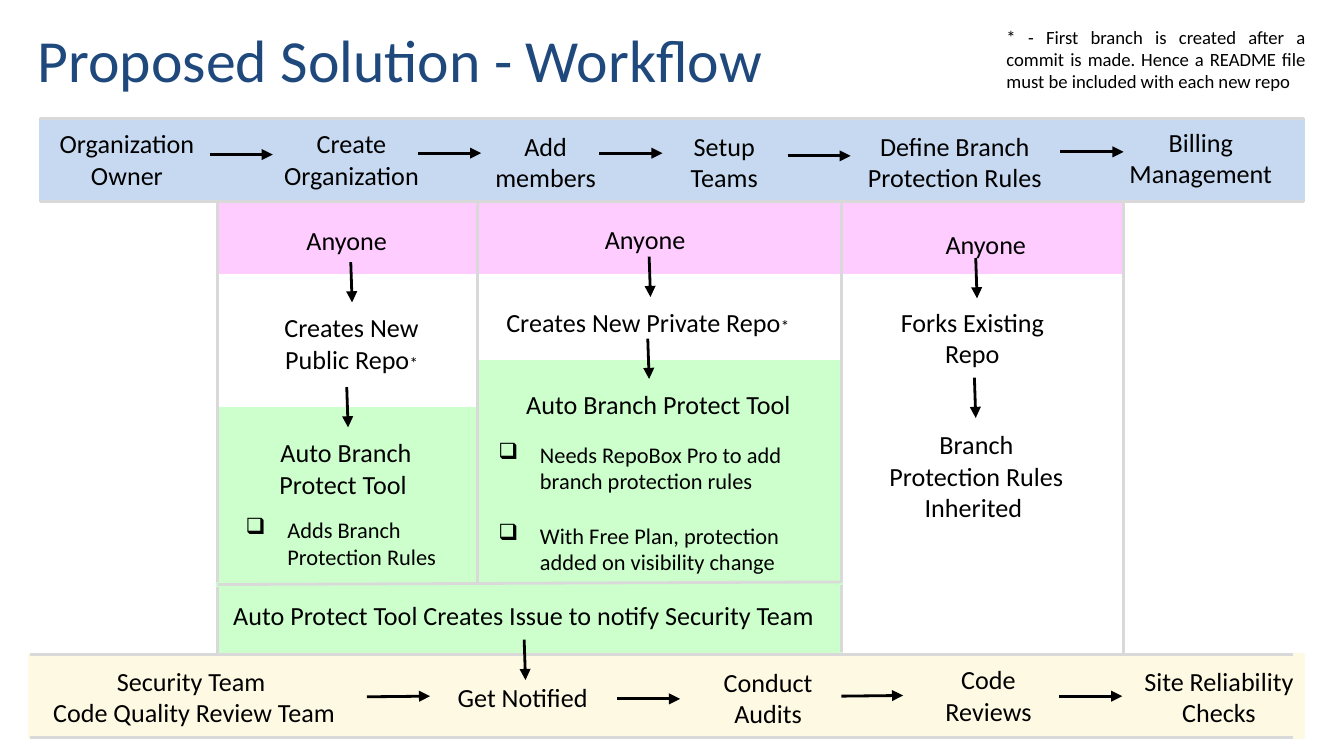
import lxml.etree
import pptx
import pptx.dml.color
import pptx.enum.shapes
import pptx.enum.text
import pptx.oxml.ns
import pptx.util

Inches = pptx.util.Inches
Pt = pptx.util.Pt
RGBColor = pptx.dml.color.RGBColor
ALIGN = pptx.enum.text.PP_ALIGN

NAVY = RGBColor(0x1F, 0x49, 0x7D)
BLACK = RGBColor(0x00, 0x00, 0x00)
GREY = RGBColor(0xD9, 0xD9, 0xD9)
PINK = RGBColor(0xFF, 0xCC, 0xFF)
GREEN = RGBColor(0xCC, 0xFF, 0xCC)
CREAM = RGBColor(0xFE, 0xF9, 0xE2)
BLUE = RGBColor(0xC6, 0xD9, 0xF1)
FONT = "Calibri"
JOIN_DISTANCE = 0.01


def add_element(parent, tag, **attributes):
    """Append a DrawingML element to a parent."""
    return lxml.etree.SubElement(parent, pptx.oxml.ns.qn(tag), attributes)


def add_panel(page, left, top, width, height, color):
    """Add a plain coloured rectangle."""
    panel = page.shapes.add_shape(
        pptx.enum.shapes.MSO_SHAPE.RECTANGLE,
        Inches(left), Inches(top), Inches(width), Inches(height))
    panel.shadow.inherit = False
    panel.fill.solid()
    panel.fill.fore_color.rgb = color
    panel.line.color.rgb = color
    panel.line.width = Pt(1.5)


def add_rule(page, start, end, color=GREY):
    """Add a straight line between two points."""
    rule = page.shapes.add_connector(
        pptx.enum.shapes.MSO_CONNECTOR.STRAIGHT,
        *[Inches(value) for value in (*start, *end)])
    rule.line.color.rgb = color
    rule.line.width = Pt(1.5)
    add_element(rule._element.spPr, "a:effectLst")
    return rule


def join_end(connect, point, labels):
    """Join a connector end to a label whose side midpoint it meets."""
    for label in labels:
        middle_x = label.left + label.width / 2
        middle_y = label.top + label.height / 2
        sides = ((middle_x, label.top), (label.left, middle_y),
                 (middle_x, label.top + label.height),
                 (label.left + label.width, middle_y))
        for side, spot in enumerate(sides):
            if all(abs(Inches(a) - b) <= Inches(JOIN_DISTANCE) for a, b in zip(point, spot)):
                connect(label, side)
                return


def add_arrow(page, start, end, labels):
    """Add a black arrow, joined to the labels it touches."""
    arrow = add_rule(page, start, end, BLACK)
    add_element(arrow.line._get_or_add_ln(), "a:tailEnd", type="triangle")
    join_end(arrow.begin_connect, start, labels)
    join_end(arrow.end_connect, end, labels)


def style_run(para, text, size, color=BLACK):
    """Add one formatted run to a paragraph."""
    span = para.add_run()
    span.text = text
    span.font.name = FONT
    span.font.size = Pt(size)
    span.font.color.rgb = color


def add_label(page, left, top, width, height, paragraphs, size=14,
              align=ALIGN.CENTER, bullet=False):
    """Add a text box; a trailing asterisk becomes a small mark."""
    label = page.shapes.add_textbox(Inches(left), Inches(top), Inches(width), Inches(height))
    frame = label.text_frame
    frame.word_wrap = True
    frame.auto_size = pptx.enum.text.MSO_AUTO_SIZE.SHAPE_TO_FIT_TEXT
    for index, text in enumerate(paragraphs):
        para = frame.add_paragraph() if index else frame.paragraphs[0]
        para.alignment = align
        if bullet:
            para.space_before = Pt(14.6 if index else 0)
            properties = para._p.get_or_add_pPr()
            properties.set("marL", str(Inches(0.31)))
            properties.set("indent", str(-Inches(0.31)))
            add_element(properties, "a:buChar", char="❑")
        style_run(para, text.removesuffix("*"), size)
        if text.endswith("*"):
            style_run(para, "*", 9)
    return label


def draw_heading(page, left, top, width, height):
    """Place the title and the note on its right."""
    title = page.shapes.title
    title.left, title.top = Inches(left), Inches(top)
    title.width, title.height = Inches(width), Inches(height)
    title.text_frame.vertical_anchor = pptx.enum.text.MSO_ANCHOR.MIDDLE
    para = title.text_frame.paragraphs[0]
    para.alignment = ALIGN.LEFT
    style_run(para, "Proposed Solution - Workflow", 32, NAVY)
    add_label(page, left + 7.21, top + 0.14, 2.42, 0.61,
              ["* - First branch is created after a commit is made. "
               "Hence a README file must be included with each new repo"],
              size=10, align=ALIGN.JUSTIFY)


def draw_band(page, left, top, width, height, color, rule_width, steps, arrows):
    """Draw a ruled band of steps linked by horizontal arrows."""
    add_panel(page, left, top, width, height, color)
    for y in (top, top + height):
        add_rule(page, (left, y), (left + rule_width, y))
    labels = [add_label(page, left + x, top + y, w, h, paragraphs)
              for x, y, w, h, paragraphs in steps]
    for x, y in arrows:
        add_arrow(page, (left + x, top + y), (left + x + 0.47, top + y), labels)


def draw_column(page, left, top, width, height, tool_top, edges, steps, arrows, bullets):
    """Draw one workflow column with its steps, down arrows and bullets."""
    add_panel(page, left, top, width, 0.52, PINK)
    if tool_top:
        add_panel(page, left, top + tool_top, width, height - tool_top, GREEN)
    for x, length in edges:
        add_rule(page, (left + x, top), (left + x, top + length))
    labels = [add_label(page, left + x, top + y, w, h, [text])
              for x, y, w, h, text in steps]
    for x, y in arrows:
        add_arrow(page, (left + x, top + y), (left + x + 0.01, top + y + 0.3), labels)
    for x, y, w, h, texts in bullets:
        add_label(page, left + x, top + y, w, h, texts, 12, ALIGN.LEFT, True)


def draw_notice(page, left, top, width, height):
    """Draw the panel that tells the security team of an issue."""
    add_panel(page, left, top, width, height, GREEN)
    add_rule(page, (left, top + 0.01), (left + width, top - 0.01))
    for x, y in ((left, top + 0.03), (left + width, top + 0.01)):
        add_rule(page, (x, y), (x, y + 0.5))
    add_label(page, left - 0.03, top + 0.07, 4.66, 0.34,
              ["Auto Protect Tool Creates Issue to notify Security Team "])


def main():
    """Build the workflow slide."""
    deck = pptx.Presentation()
    deck.slide_width = Inches(10)
    deck.slide_height = deck.slide_width * 9 // 16
    page = deck.slides.add_slide(deck.slide_layouts[5])
    draw_heading(page, 0.18, 0, 9.32, 0.87)
    draw_column(page, 1.62, 1.51, 1.93, 2.83, 1.53, [(0, 2.83)], [
        (0.35, 0.11, 1.22, 0.34, "Anyone"),
        (0.35, 0.76, 1.29, 0.57, "Creates New Public Repo*"),
        (0.13, 1.69, 1.65, 0.57, "Auto Branch Protect Tool "),
    ], [(0.99, 0.44), (0.96, 1.37)],
        [(0.11, 2.28, 1.65, 0.5, ["Adds Branch Protection Rules"])])
    draw_column(page, 3.55, 1.51, 2.7, 2.83, 1.18, [(0, 2.83)], [
        (0.59, 0.1, 1.32, 0.34, "Anyone"),
        (0.07, 0.72, 2.4, 0.34, "Creates New Private Repo*"),
        (0.26, 1.33, 2.18, 0.34, "Auto Branch Protect Tool "),
    ], [(1.28, 0.4), (1.27, 1.01)],
        [(0.06, 1.72, 2.63, 1.11, [
            "Needs RepoBox Pro to add branch protection rules",
            "With Free Plan, protection added on visibility change"])])
    draw_column(page, 6.26, 1.51, 2.1, 2.83, None, [(0, 2.83), (2.1, 3.37)], [
        (0.3, 0.14, 1.55, 0.34, "Anyone"),
        (0.28, 0.72, 1.39, 0.57, "Forks Existing Repo"),
        (0.23, 1.63, 1.55, 0.81, "Branch Protection Rules Inherited "),
    ], [(1, 0.41), (0.99, 1.3)], [])
    draw_notice(page, 1.62, 4.34, 4.64, 0.52)
    draw_band(page, 0.3, 0.88, 9.4, 0.62, BLUE, 9.4, [
        (-0.12, 0.02, 1.53, 0.57, ["Organization Owner"]),
        (1.47, 0.02, 1.69, 0.57, ["Create Organization"]),
        (3.16, 0.04, 1.2, 0.57, ["Add members"]),
        (4.51, 0.04, 1.16, 0.57, ["Setup Teams"]),
        (5.99, 0.04, 1.63, 0.57, ["Define Branch Protection Rules"]),
        (7.82, 0.01, 1.63, 0.57, ["Billing Management"]),
    ], [(1.26, 0.27), (2.81, 0.26), (4.16, 0.26), (5.56, 0.28), (7.59, 0.25)])
    draw_band(page, 0.22, 4.87, 9.48, 0.62, CREAM, 9.4, [
        (-0.06, 0.03, 2.57, 0.57, ["Security Team ", "Code Quality Review Team"]),
        (2.89, 0.15, 1.56, 0.34, ["Get Notified"]),
        (4.92, 0.04, 1.15, 0.57, ["Conduct Audits"]),
        (6.5, 0.02, 1.27, 0.57, ["Code Reviews"]),
        (8.17, 0.03, 1.36, 0.57, ["Site Reliability Checks"]),
    ], [(2.51, 0.31), (4.37, 0.33), (6.04, 0.31), (7.66, 0.31)])
    add_arrow(page, (3.9, 4.76), (3.91, 5.06), [])
    deck.save("out.pptx")


if __name__ == "__main__":
    main()
